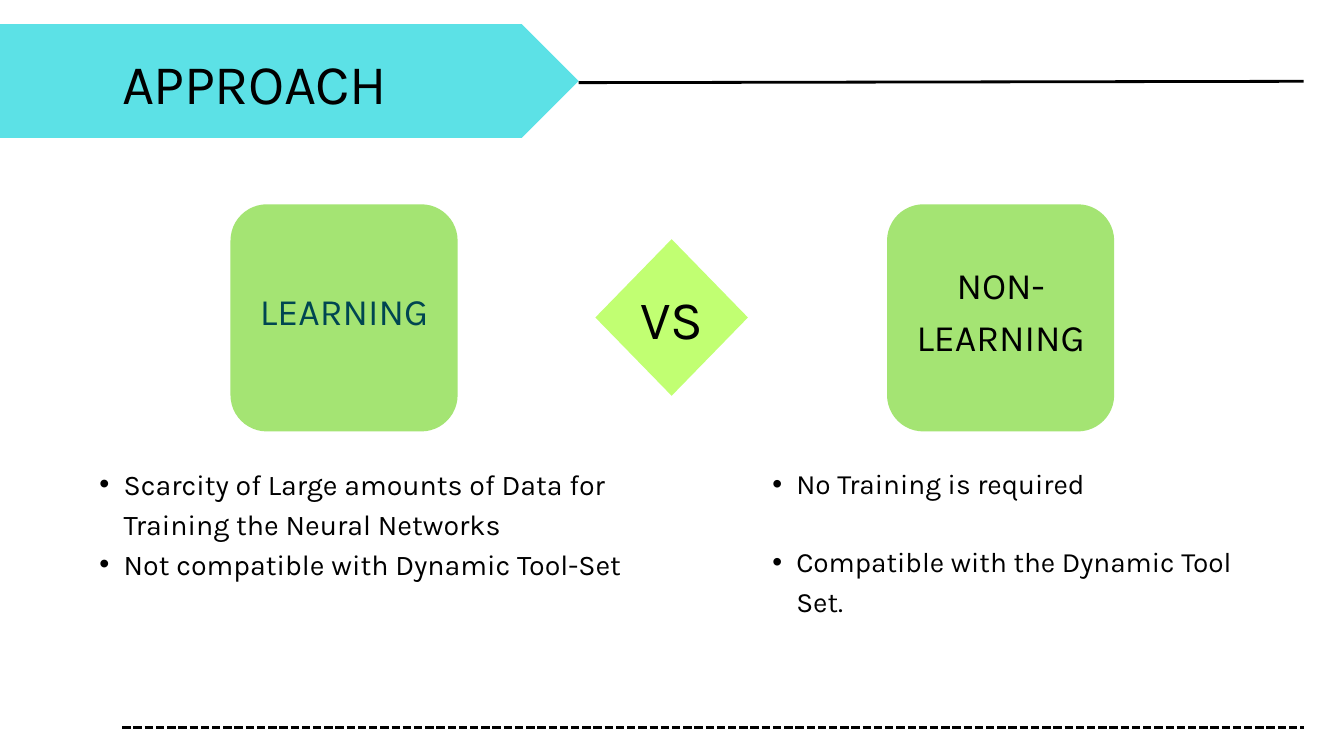
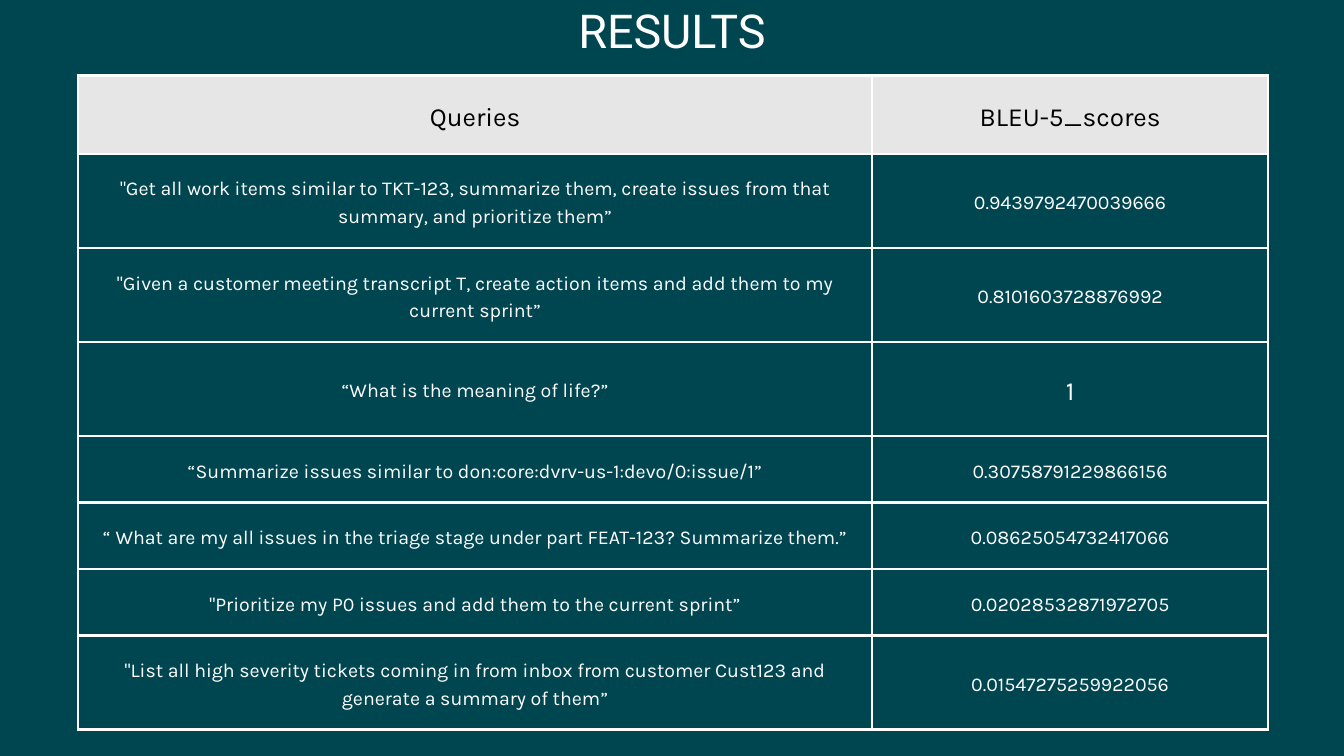
import pptx
import pptx.util
import pptx.dml.color
import pptx.enum.dml
import pptx.enum.shapes
import pptx.enum.text
import lxml.etree

Inches = pptx.util.Inches
Pt = pptx.util.Pt
SHAPE = pptx.enum.shapes.MSO_SHAPE
ANCHOR = pptx.enum.text.MSO_ANCHOR
ALIGN = pptx.enum.text.PP_ALIGN
DRAWING = "{http://schemas.openxmlformats.org/drawingml/2006/main}"

# Shared colours and text formats
BLACK, WHITE, TEAL = "000000", "FFFFFF", "004651"
CYAN, GREEN, LIME, GREY = "5CE1E6", "A4E473", "C1FF72", "E6E6E6"
CENTRE = {"alignment": ALIGN.CENTER}
MARGINS = ("margin_left", "margin_top", "margin_right", "margin_bottom")


def colour(value):
    return pptx.dml.color.RGBColor.from_string(value)


def write(paragraph, text, size, spacing, value, name="Karla", layout=CENTRE):
    settings = {**layout, "line_spacing": Pt(spacing)}
    for key, setting in settings.items():
        setattr(paragraph, key, setting)
    span = paragraph.add_run()
    span.text = text
    for key, setting in {"name": name, "size": Pt(size)}.items():
        setattr(span.font, key, setting)
    span.font.color.rgb = colour(value)
    return span


deck = pptx.Presentation()
deck.slide_width, deck.slide_height = Inches(20), Inches(11.25)
pages = []
for background in (WHITE, TEAL):
    page = deck.slides.add_slide(deck.slide_layouts[6])
    page.background.fill.solid()
    page.background.fill.fore_color.rgb = colour(background)
    pages.append(page)
approach, results = pages

# Approach: banner, two cards and the diamond between them
shapes = [
    (SHAPE.DIAMOND, 8.86, 3.56, 2.27, 2.33, LIME),
    (SHAPE.PENTAGON, 0, 0.36, 8.61, 1.69, CYAN),
    (SHAPE.ROUNDED_RECTANGLE, 3.43, 3.04, 3.38, 3.38, GREEN),
    (SHAPE.ROUNDED_RECTANGLE, 13.2, 3.04, 3.38, 3.38, GREEN),
]
for kind, left, top, width, height, fill in shapes:
    shape = approach.shapes.add_shape(
        kind, Inches(left), Inches(top), Inches(width), Inches(height))
    shape.shadow.inherit = False
    shape.fill.solid()
    shape.fill.fore_color.rgb = colour(fill)
    shape.line.fill.background()
    if kind == SHAPE.ROUNDED_RECTANGLE:
        shape.adjustments[0] = 0.16

# Slide titles and shape labels
left_aligned = {"alignment": ALIGN.LEFT}
labels = [
    (approach, "VS", (9.25, 3.96, 1.49, 1.53), 58, 69.6, BLACK, "Karla", CENTRE, 0.06),
    (approach, "LEARNING", (3.43, 2.72, 3.38, 3.69), 40, 56, TEAL, "Karla", CENTRE, 0.06),
    (approach, "NON-LEARNING", (13.2, 2.72, 3.38, 3.69), 40, 56, BLACK, "Karla", CENTRE, 0.06),
    (approach, "APPROACH", (1.82, 0.64, 7.25, 1.07), 60, 78, BLACK, "Karla", left_aligned, 0),
    (results, "RESULTS", (8.46, -0.11, 3.08, 0.94), 50, 70, WHITE, "Roboto", CENTRE, 0),
]
for page, text, place, size, spacing, value, name, layout, inset in labels:
    box = page.shapes.add_textbox(*map(Inches, place))
    frame = box.text_frame
    frame.word_wrap = True
    frame.vertical_anchor = ANCHOR.MIDDLE if inset else ANCHOR.TOP
    for margin in MARGINS:
        setattr(frame, margin, Inches(inset))
    span = write(frame.paragraphs[0], text, size, spacing, value, name, layout)
    if text == "APPROACH":
        span._r.get_or_add_rPr().set("spc", "-60")

# Bullet lists under the cards: place, size, line spacing, gap, indent, lines
lists = [
    ((1.12, 6.86, 8.15, 2.35), 30.6, 42.8, 0, 0.72, [
        "Scarcity of Large amounts of Data for Training the Neural Networks",
        "Not compatible with Dynamic Tool-Set"]),
    ((11.14, 6.86, 7.43, 2.27), 30, 42, 42, 0.71, [
        "No Training is required",
        "Compatible with the Dynamic Tool Set."]),
]
for place, size, spacing, gap, indent, lines in lists:
    frame = approach.shapes.add_textbox(*map(Inches, place)).text_frame
    frame.word_wrap = True
    for margin in MARGINS:
        setattr(frame, margin, 0)
    for index, line in enumerate(lines):
        paragraph = frame.add_paragraph() if index else frame.paragraphs[0]
        properties = paragraph._p.get_or_add_pPr()
        properties.set("marL", str(Inches(indent)))
        properties.set("indent", str(-Inches(indent / 2)))
        lxml.etree.SubElement(properties, DRAWING + "buFont", typeface="Arial")
        lxml.etree.SubElement(properties, DRAWING + "buChar", char="•")
        layout = {**left_aligned, "level": 1, "space_before": Pt(gap * index)}
        write(paragraph, line, size, spacing, BLACK, layout=layout)

# Rule beside the banner and dashed footer rule
for left, start, end, dash in [
        (8.61, 1.23, 1.21, None),
        (1.82, 10.83, 10.83, pptx.enum.dml.MSO_LINE.SQUARE_DOT)]:
    rule = approach.shapes.add_connector(
        pptx.enum.shapes.MSO_CONNECTOR.STRAIGHT,
        Inches(left), Inches(start), Inches(19.4), Inches(end))
    rule.line.color.rgb = colour(BLACK)
    rule.line.width = Pt(3)
    rule.line.dash_style = dash
    lxml.etree.SubElement(rule._element.spPr, DRAWING + "effectLst")

# Results table
rows = [
    ("Queries", "BLEU-5_scores"),
    ('"Get all work items similar to TKT-123, summarize them, create issues '
     'from that summary, and prioritize them”', "0.9439792470039666"),
    ('"Given a customer meeting transcript T, create action items and add '
     'them to my current sprint”', "0.8101603728876992"),
    ("“What is the meaning of life?”", "1"),
    ("“Summarize issues similar to don:core:dvrv-us-1:devo/0:issue/1”",
     "0.30758791229866156"),
    ("“ What are my all issues in the triage stage under part FEAT-123? "
     "Summarize them.”", "0.08625054732417066"),
    ('"Prioritize my P0 issues and add them to the current sprint”',
     "0.02028532871972705"),
    ('"List all high severity tickets coming in from inbox from customer '
     'Cust123 and generate a summary of them”', "0.01547275259922056"),
]
heights = [1.17, 1.4, 1.4, 1.4, 0.99, 0.99, 0.99, 1.4]
table = results.shapes.add_table(
    len(rows), 2, Inches(1.16), Inches(1.12), Inches(17.71), Inches(9.75)).table
table.first_row = table.horz_banding = False
for column, width in zip(table.columns, (11.82, 5.89)):
    column.width = Inches(width)
for row_index, (row, height) in enumerate(zip(rows, heights)):
    table.rows[row_index].height = Inches(height)
    header = row_index == 0
    for column_index, text in enumerate(row):
        cell = table.cell(row_index, column_index)
        cell.vertical_anchor = ANCHOR.MIDDLE
        for margin in MARGINS:
            setattr(cell, margin, Inches(0.21))
        if header:
            cell.fill.solid()
            cell.fill.fore_color.rgb = colour(GREY)
        else:
            cell.fill.background()
        size = 28 if header or text == "1" else 21
        write(cell.text_frame.paragraphs[0], text, size, size * 1.4,
              BLACK if header else WHITE)
        # White borders go ahead of the fill
        properties = cell._tc.get_or_add_tcPr()
        for position, side in enumerate(("lnL", "lnR", "lnT", "lnB")):
            border = lxml.etree.Element(DRAWING + side, w=str(Pt(3)))
            fill = lxml.etree.SubElement(border, DRAWING + "solidFill")
            lxml.etree.SubElement(fill, DRAWING + "srgbClr", val=WHITE)
            properties.insert(position, border)

deck.save("out.pptx")
